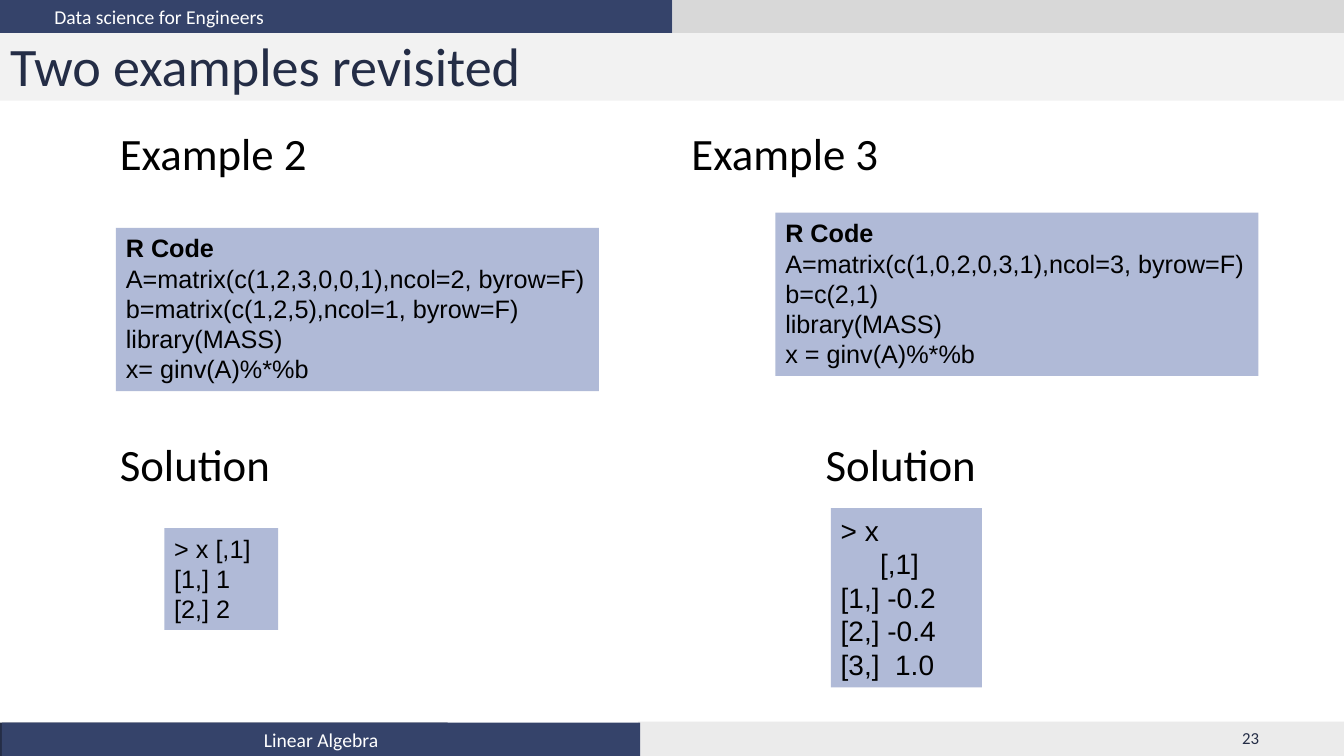
from dataclasses import dataclass

from lxml.etree import SubElement
from pptx import Presentation
from pptx.dml.color import RGBColor
from pptx.enum.shapes import MSO_SHAPE
from pptx.enum.text import MSO_ANCHOR, MSO_AUTO_SIZE, PP_ALIGN
from pptx.oxml.ns import qn
from pptx.shapes.autoshape import Shape
from pptx.slide import Slide
from pptx.util import Inches, Pt


@dataclass(frozen=True)
class Theme:
    navy: str = "35436A"
    dark_navy: str = "242D46"
    header_grey: str = "D8D8D8"
    title_grey: str = "F2F2F2"
    footer_grey: str = "EBEBEB"
    code_blue: str = "B0BAD7"
    white: str = "FFFFFF"
    black: str = "000000"
    text_font: str = "Calibri"
    code_font: str = "Arial"
    title_size: float = 38.7
    heading_size: float = 32
    result_size: float = 20
    code_size: float = 18
    band_size: float = 14
    number_size: float = 12


THEME = Theme()


@dataclass(frozen=True)
class Area:
    left: float
    top: float
    width: float
    height: float


@dataclass(frozen=True)
class Style:
    font: str
    size: float
    color: str
    align: PP_ALIGN = PP_ALIGN.LEFT


@dataclass(frozen=True)
class Line:
    text: str
    bold: bool = False
    indent: float = 0
    tab_stop: float = 0


@dataclass(frozen=True)
class Band:
    area: Area
    color: str


@dataclass(frozen=True)
class Label:
    area: Area
    text: str
    style: Style
    left_margin: float = 0.1


@dataclass(frozen=True)
class CodeBox:
    area: Area
    lines: tuple[Line, ...]
    size: float = THEME.code_size
    wrap: bool = True


BAND_TEXT = Style(THEME.text_font, THEME.band_size, THEME.white)
FOOTER_TEXT = Style(THEME.text_font, THEME.band_size, THEME.white, PP_ALIGN.CENTER)
NUMBER_TEXT = Style(THEME.text_font, THEME.number_size, THEME.dark_navy)
TITLE_TEXT = Style(THEME.text_font, THEME.title_size, THEME.dark_navy)
HEADING_TEXT = Style(THEME.text_font, THEME.heading_size, THEME.black)

TITLE_BAND = Band(Area(0, 0.33, 13.33, 0.67), THEME.title_grey)
BANDS = (
    Band(Area(0, 0, 6.67, 0.33), THEME.navy),
    Band(Area(6.67, 0, 6.67, 0.33), THEME.header_grey),
    Band(Area(0, 7.17, 4.44, 0.33), THEME.dark_navy),
    Band(Area(6.33, 7.16, 7, 0.34), THEME.footer_grey),
    Band(Area(0.02, 7.17, 6.33, 0.34), THEME.navy),
)
LABELS = (
    Label(Area(0, 0, 6.67, 0.34), "Data science for Engineers", BAND_TEXT, 0.54),
    Label(Area(0.02, 7.17, 6.33, 0.34), "Linear Algebra", FOOTER_TEXT),
    Label(Area(12.22, 7.17, 1.12, 0.52), "23", NUMBER_TEXT),
    Label(Area(1.09, 1.2, 4, 0.64), "Example 2", HEADING_TEXT),
    Label(Area(6.76, 1.2, 4, 0.64), "Example 3", HEADING_TEXT),
    Label(Area(1.09, 4.28, 4, 0.64), "Solution", HEADING_TEXT),
    Label(Area(8.09, 4.28, 4, 0.64), "Solution", HEADING_TEXT),
)
CODE_BOXES = (
    CodeBox(
        Area(1.15, 2.26, 4.79, 1.62),
        (
            Line("R Code", bold=True),
            Line("A=matrix(c(1,2,3,0,0,1),ncol=2, byrow=F)"),
            Line("b=matrix(c(1,2,5),ncol=1, byrow=F)"),
            Line("library(MASS)"),
            Line("x= ginv(A)%*%b"),
        ),
        wrap=False,
    ),
    CodeBox(
        Area(7.69, 2.11, 4.79, 1.62),
        (
            Line("R Code", bold=True),
            Line("A=matrix(c(1,0,2,0,3,1),ncol=3, byrow=F)"),
            Line("b=c(2,1)"),
            Line("library(MASS)"),
            Line("x = ginv(A)%*%b"),
        ),
        wrap=False,
    ),
    CodeBox(Area(1.63, 5.24, 1.13, 1.01), (Line("> x [,1] [1,] 1 [2,] 2"),)),
    CodeBox(
        Area(8.24, 5.04, 1.5, 1.78),
        (
            Line("> x"),
            Line("[,1]", indent=0.39),
            Line("[1,] -0.2"),
            Line("[2,] -0.4"),
            Line("[3,]\t1.0", tab_stop=0.54),
        ),
        THEME.result_size,
    ),
)


def place(shape: Shape, area: Area) -> None:
    shape.left, shape.top = Inches(area.left), Inches(area.top)
    shape.width, shape.height = Inches(area.width), Inches(area.height)


def write_lines(shape: Shape, lines: tuple[Line, ...], style: Style) -> None:
    frame = shape.text_frame
    for index, line in enumerate(lines):
        paragraph = frame.add_paragraph() if index else frame.paragraphs[0]
        paragraph.alignment = style.align
        properties = paragraph._p.get_or_add_pPr()
        if line.indent:
            properties.set("marL", str(Inches(line.indent)))
        if line.tab_stop:
            tabs = SubElement(properties, qn("a:tabLst"))
            SubElement(tabs, qn("a:tab"), pos=str(Inches(line.tab_stop)), algn="l")
        run = paragraph.add_run()
        run.text = line.text
        run.font.name = style.font
        run.font.size = Pt(style.size)
        run.font.bold = line.bold
        run.font.color.rgb = RGBColor.from_string(style.color)


def add_band(slide: Slide, band: Band) -> Shape:
    shape = slide.shapes.add_shape(MSO_SHAPE.RECTANGLE, 0, 0, 0, 0)
    place(shape, band.area)
    shape.shadow.inherit = False
    shape.fill.solid()
    shape.fill.fore_color.rgb = RGBColor.from_string(band.color)
    shape.line.fill.background()
    return shape


def add_label(slide: Slide, label: Label) -> None:
    shape = slide.shapes.add_textbox(0, 0, 0, 0)
    place(shape, label.area)
    shape.text_frame.word_wrap = True
    shape.text_frame.margin_left = Inches(label.left_margin)
    write_lines(shape, (Line(label.text),), label.style)


def add_code_box(slide: Slide, box: CodeBox) -> None:
    shape = add_band(slide, Band(box.area, THEME.code_blue))
    shape.text_frame.word_wrap = box.wrap
    shape.text_frame.vertical_anchor = MSO_ANCHOR.TOP
    write_lines(shape, box.lines, Style(THEME.code_font, box.size, THEME.black))


def add_title(slide: Slide, text: str) -> None:
    title_band = add_band(slide, TITLE_BAND)
    title = slide.shapes.title
    title_band.element.addnext(title.element)
    place(title, Area(0, 0.33, 10.89, 0.63))
    title.text_frame.auto_size = MSO_AUTO_SIZE.NONE
    title.text_frame.vertical_anchor = MSO_ANCHOR.MIDDLE
    write_lines(title, (Line(text),), TITLE_TEXT)


def main() -> None:
    presentation = Presentation()
    presentation.slide_width, presentation.slide_height = Inches(13.33), Inches(7.5)
    slide = presentation.slides.add_slide(presentation.slide_layouts[5])
    for band in BANDS:
        add_band(slide, band)
    add_title(slide, "Two examples revisited")
    for label in LABELS:
        add_label(slide, label)
    for box in CODE_BOXES:
        add_code_box(slide, box)
    presentation.save("out.pptx")


if __name__ == "__main__":
    main()
